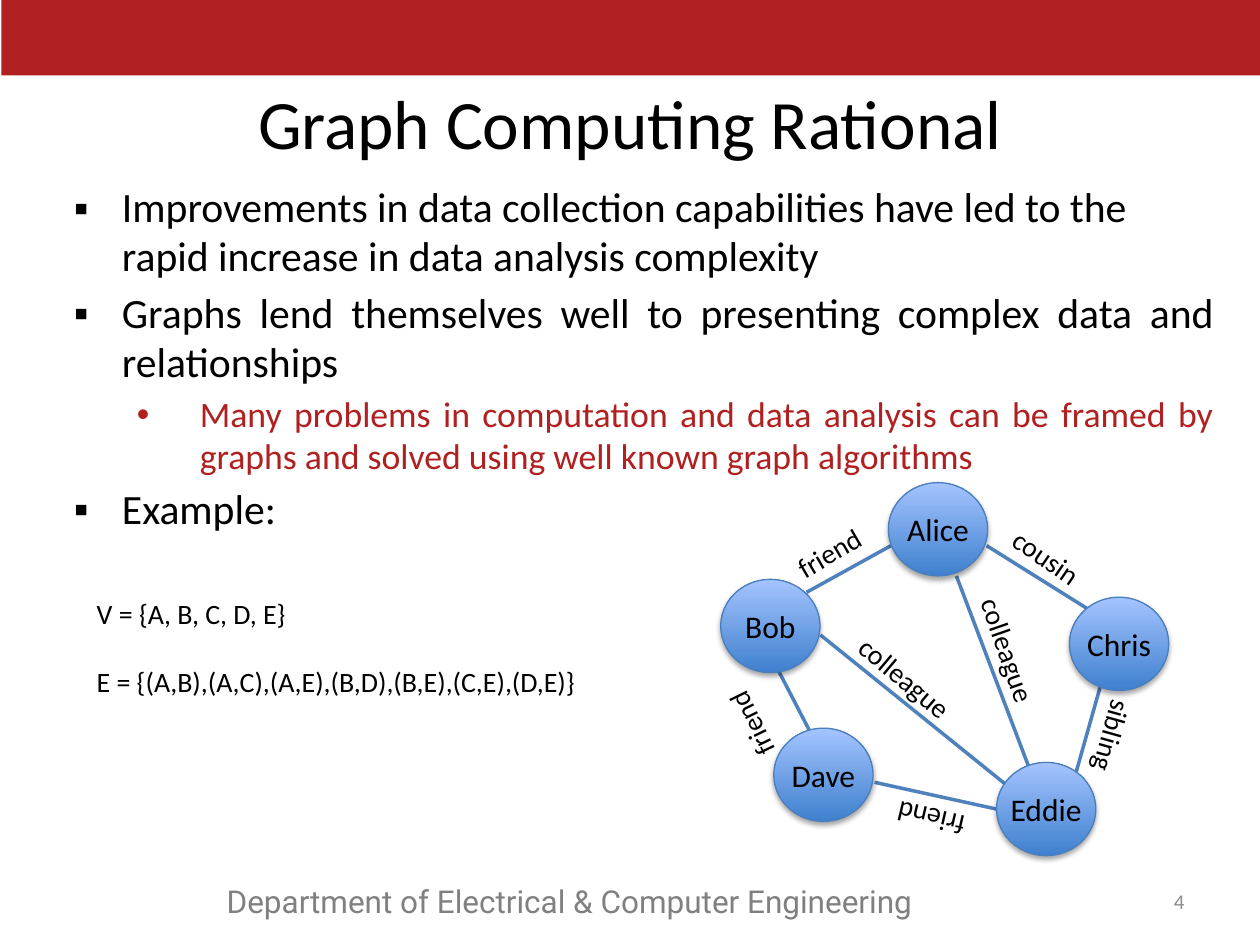
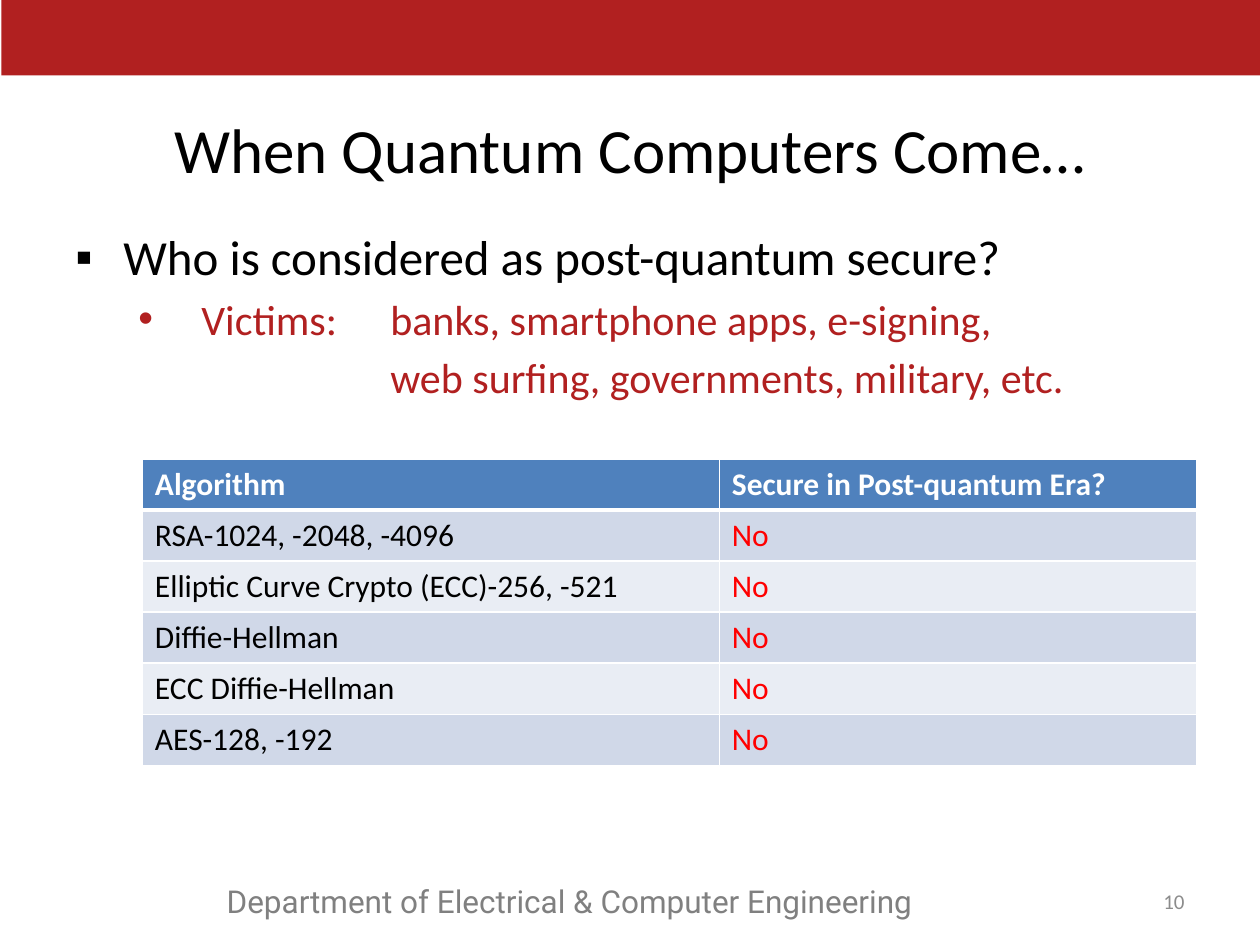
from pptx import Presentation
from pptx.dml.color import RGBColor
from pptx.enum.shapes import MSO_CONNECTOR, MSO_SHAPE
from pptx.enum.text import MSO_ANCHOR, PP_ALIGN
from pptx.oxml import parse_xml
from pptx.oxml.ns import nsdecls, qn
from pptx.util import Cm, Pt

COLORS = {
    "band": "B12020", "text": "000000", "footer": "808080", "number": "8C8C8C",
    "edge": "4F81BD", "node_line": "4B7EBC", "node_low": "3F80CE", "node_high": "A4C4FF",
    "header": "4F81BD", "odd": "D0D8E8", "even": "E9EDF4", "white": "FFFFFF", "no": "FF0000",
}
FONT = "Calibri"
NODE_W, NODE_H = 2.0, 1.88
LABEL_H = 0.97


def rgb(name):
    """Return the named colour."""
    return RGBColor.from_string(COLORS[name])


def xml(markup):
    """Parse one DrawingML element, given without its brackets' namespace."""
    tag, sep, rest = markup.partition(" ")
    return parse_xml(f"<{tag} {nsdecls('a')} {rest}")


def style(p, size, color="text", font=FONT, bold=False):
    """Format all runs of a paragraph."""
    for r in p.runs:
        r.font.size, r.font.name, r.font.bold = Pt(size), font, bold
        r.font.color.rgb = rgb(color)


def add_text(s, box, lines, size, color="text", font=FONT, align=PP_ALIGN.LEFT,
             anchor=MSO_ANCHOR.TOP, gap=0):
    """Add a wrapped text box with one paragraph per line."""
    sp = s.shapes.add_textbox(*map(Cm, box))
    tf = sp.text_frame
    tf.word_wrap, tf.vertical_anchor = True, anchor
    tf.text = "\n".join(lines)
    for i, p in enumerate(tf.paragraphs):
        p.alignment = align
        if i:
            p.space_before = Pt(gap)
        style(p, size, color, font)
    return sp


def add_frame(prs, title, size, top, number):
    """Add a slide with its band, title, footer and number."""
    s = prs.slides.add_slide(prs.slide_layouts[6])
    band = s.shapes.add_shape(MSO_SHAPE.RECTANGLE, Cm(0.03), 0, Cm(25.4), Cm(1.52))
    band.shadow.inherit = False
    band.fill.solid()
    band.fill.fore_color.rgb = rgb("band")
    band.line.fill.background()
    add_text(s, (4.32, 17.65, 14.66, 1.02),
             ["Department of Electrical & Computer Engineering"], 18, "footer", "Roboto")
    add_text(s, (1.27, top, 22.86, 1.88), [title], size,
             align=PP_ALIGN.CENTER, anchor=MSO_ANCHOR.MIDDLE)
    add_text(s, (22.63, 17.65, 1.5, 1.02), [str(number)], 12, "number",
             align=PP_ALIGN.RIGHT, anchor=MSO_ANCHOR.MIDDLE)
    return s


def add_bullets(s, box, items, sizes, spacing=1.0):
    """Add a bulleted list from (text, level, alignment, bullet) items."""
    left, hang = (0.97, 2.54), (0.97, 1.27)
    sp = add_text(s, box, [item[0] for item in items], sizes[0])
    for i, (p, item) in enumerate(zip(sp.text_frame.paragraphs, items)):
        text, level, align, bullet = item
        pPr = p._p.get_or_add_pPr()
        if bullet:
            margin, indent = left[level], -hang[level]
            pPr.append(xml('a:buFont typeface="Arial"/>'))
            pPr.append(xml(f'a:buChar char="{bullet}"/>'))
        else:
            margin, indent = 6.35, 0
        pPr.set("marL", str(Cm(margin)))
        pPr.set("indent", str(Cm(indent)))
        if "\t" in text:
            stops = "".join(f'<a:tab pos="{Cm(x)}" algn="l"/>' for x in (3.81, 6.35))
            pPr.append(xml(f"a:tabLst >{stops}</a:tabLst>"))
        p.alignment, p.line_spacing = align, spacing
        if i:
            p.space_before = Pt(round(sizes[level] * 0.18, 1))
        style(p, sizes[level], ("text", "band")[level])


def add_node(s, x, y, name):
    """Add one person of the graph."""
    sp = s.shapes.add_shape(MSO_SHAPE.OVAL, Cm(x), Cm(y), Cm(NODE_W), Cm(NODE_H))
    sp.fill.gradient()
    sp.fill.gradient_angle = 90
    for stop, color in zip(sp.fill.gradient_stops, ("node_low", "node_high")):
        stop.color.rgb = rgb(color)
    sp.line.color.rgb, sp.line.width = rgb("node_line"), Pt(0.75)
    sp.shadow.inherit = False
    sp._element.spPr.find(qn("a:effectLst")).append(xml(
        f'a:outerShdw blurRad="{Pt(3.1)}" dist="{Pt(1.8)}" dir="5400000" rotWithShape="0">'
        '<a:srgbClr val="000000"><a:alpha val="35000"/></a:srgbClr></a:outerShdw>'))
    tf = sp.text_frame
    tf.margin_left = tf.margin_right = tf.margin_top = tf.margin_bottom = 0
    tf.word_wrap, tf.vertical_anchor = False, MSO_ANCHOR.MIDDLE
    tf.text = name
    tf.paragraphs[0].alignment = PP_ALIGN.CENTER
    style(tf.paragraphs[0], 18)


def add_graph(s, left, top):
    """Draw the relationship graph from its top left corner."""
    edges = [
        (2.14, 3.07, 5.92, 6.12), (1.04, 3.3, 1.96, 5.08), (4.88, 1.88, 6.35, 5.76),
        (5.49, 1.27, 7.6, 2.59), (3.56, 1.27, 1.86, 2.21), (7.8, 4.04, 7.27, 5.92),
        (3.23, 6.04, 5.69, 6.58),
    ]
    nodes = {"Alice": (3.51, 0), "Chris": (7.16, 2.31), "Bob": (0.13, 1.95),
             "Eddie": (5.69, 5.64), "Dave": (1.2, 4.95)}
    labels = [
        ("friend", 1.35, 0.81, 2.39, LABEL_H, 329.7),
        ("friend", 2.92, 6.22, 2.39, LABEL_H, 193.2),
        ("colleague", 4.35, 3.2, 3.33, LABEL_H, 70.8),
        ("colleague", 2.39, 3.73, 3.53, LABEL_H, 40),
        ("cousin", 5.56, 1.47, 3.53, LABEL_H, 34.6),
        ("sibling", 6.12, 5.31, 3.4, LABEL_H, 105.6),
        ("friend", 0.05, 3.86, 1.96, 1.63, 244.1),
    ]
    for x1, y1, x2, y2 in edges:
        line = s.shapes.add_connector(MSO_CONNECTOR.STRAIGHT, Cm(left + x1), Cm(top + y1),
                                      Cm(left + x2), Cm(top + y2))
        line.line.color.rgb, line.line.width = rgb("edge"), Pt(2)
        line._element.spPr.append(xml("a:effectLst />"))
    for name, (x, y) in nodes.items():
        add_node(s, left + x, top + y, name)
    for text, x, y, w, h, angle in labels:
        add_text(s, (left + x, top + y, w, h), [text], 16).rotation = angle


def add_borders(cell, top, bottom):
    """Give a cell white borders."""
    tcPr = cell._tc.get_or_add_tcPr()
    for side, width in (("L", 1), ("R", 1), ("T", top), ("B", bottom)):
        tcPr.append(xml(f'a:ln{side} w="{Pt(width)}"><a:solidFill><a:srgbClr '
                        f'val="{COLORS["white"]}"/></a:solidFill></a:ln{side}>'))


def add_security_table(s, left, top):
    """Add the table of algorithms and their post-quantum security."""
    algorithms = ["RSA-1024, -2048, -4096", "Elliptic Curve Crypto (ECC)-256, -521",
                  "Diffie-Hellman", "ECC Diffie-Hellman", "AES-128, -192"]
    rows = [("Algorithm", "Secure in Post-quantum Era?")] + [(a, "No") for a in algorithms]
    widths, row_h = (11.63, 9.63), 1.03
    table = s.shapes.add_table(len(rows), 2, Cm(left), Cm(top), Cm(sum(widths)),
                               Cm(row_h * len(rows))).table
    for column, width in zip(table.columns, widths):
        column.width = Cm(width)
    for i, row in enumerate(rows):
        table.rows[i].height = Cm(row_h)
        for j, text in enumerate(row):
            cell = table.cell(i, j)
            add_borders(cell, 3 if i == 1 else 1, 3 if i == 0 else 1)
            cell.fill.solid()
            cell.fill.fore_color.rgb = rgb("header" if i == 0 else ("even", "odd")[i % 2])
            cell.vertical_anchor = MSO_ANCHOR.MIDDLE if i == 0 else MSO_ANCHOR.TOP
            cell.text = text
            color = "white" if i == 0 else ("text", "no")[j]
            style(cell.text_frame.paragraphs[0], 18, color, bold=i == 0)


def graph_slide(prs):
    """Build the slide on graph computing."""
    s = add_frame(prs, "Graph Computing Rational", 39.6, 1.52, 4)
    add_bullets(s, (1.24, 3.58, 23.47, 6.43), [
        ("Improvements in data collection capabilities have led to the rapid increase "
         "in data analysis complexity", 0, PP_ALIGN.LEFT, "▪"),
        ("Graphs lend themselves well to presenting complex data and relationships",
         0, PP_ALIGN.JUSTIFY, "▪"),
        ("Many problems in computation and data analysis can be framed by graphs and "
         "solved using well known graph algorithms", 1, PP_ALIGN.JUSTIFY, "•"),
        ("Example:", 0, PP_ALIGN.JUSTIFY, "▪"),
    ], (23.8, 20.4), 0.98)
    add_text(s, (1.7, 11.91, 12.47, 2.31),
             ["V = {A, B, C, D, E}", "E = {(A,B),(A,C),(A,E),(B,D),(B,E),(C,E),(D,E)}"],
             16, gap=19.5)
    add_graph(s, 14.4, 9.73)


def quantum_slide(prs):
    """Build the slide on post-quantum security."""
    s = add_frame(prs, "When Quantum Computers Come…", 36, 2.06, 10)
    add_bullets(s, (1.27, 4.45, 23.34, 4.2), [
        ("Who is considered as post-quantum secure?", 0, PP_ALIGN.LEFT, "▪"),
        ("Victims:\tbanks, smartphone apps, e-signing,", 1, PP_ALIGN.LEFT, "•"),
        ("web surfing, governments, military, etc.", 1, PP_ALIGN.LEFT, None),
    ], (28, 24))
    add_security_table(s, 2.87, 9.25)


def main():
    """Build and save the presentation."""
    prs = Presentation()
    prs.slide_width, prs.slide_height = Cm(25.4), Cm(19.05)
    graph_slide(prs)
    quantum_slide(prs)
    prs.save("out.pptx")


if __name__ == "__main__":
    main()
